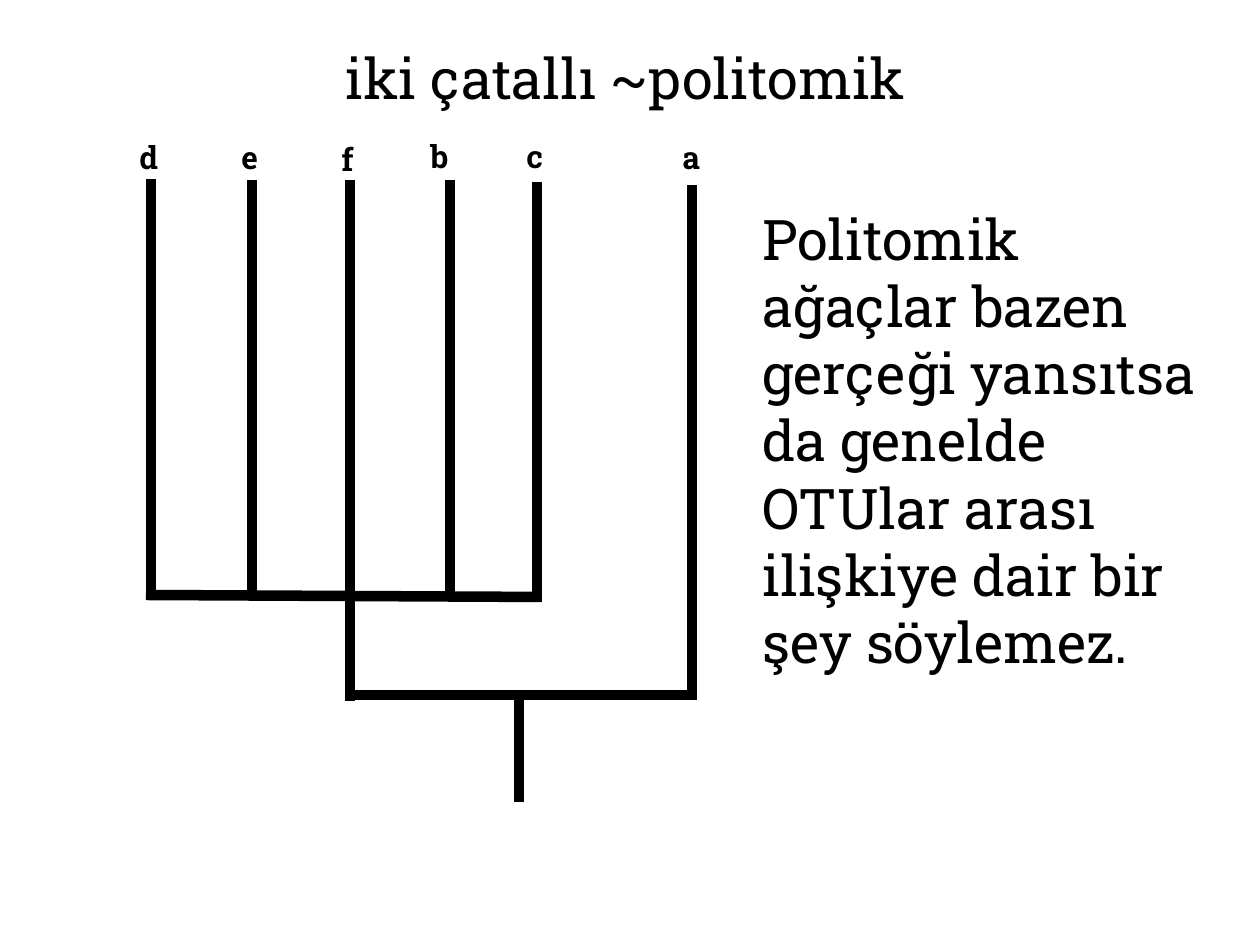
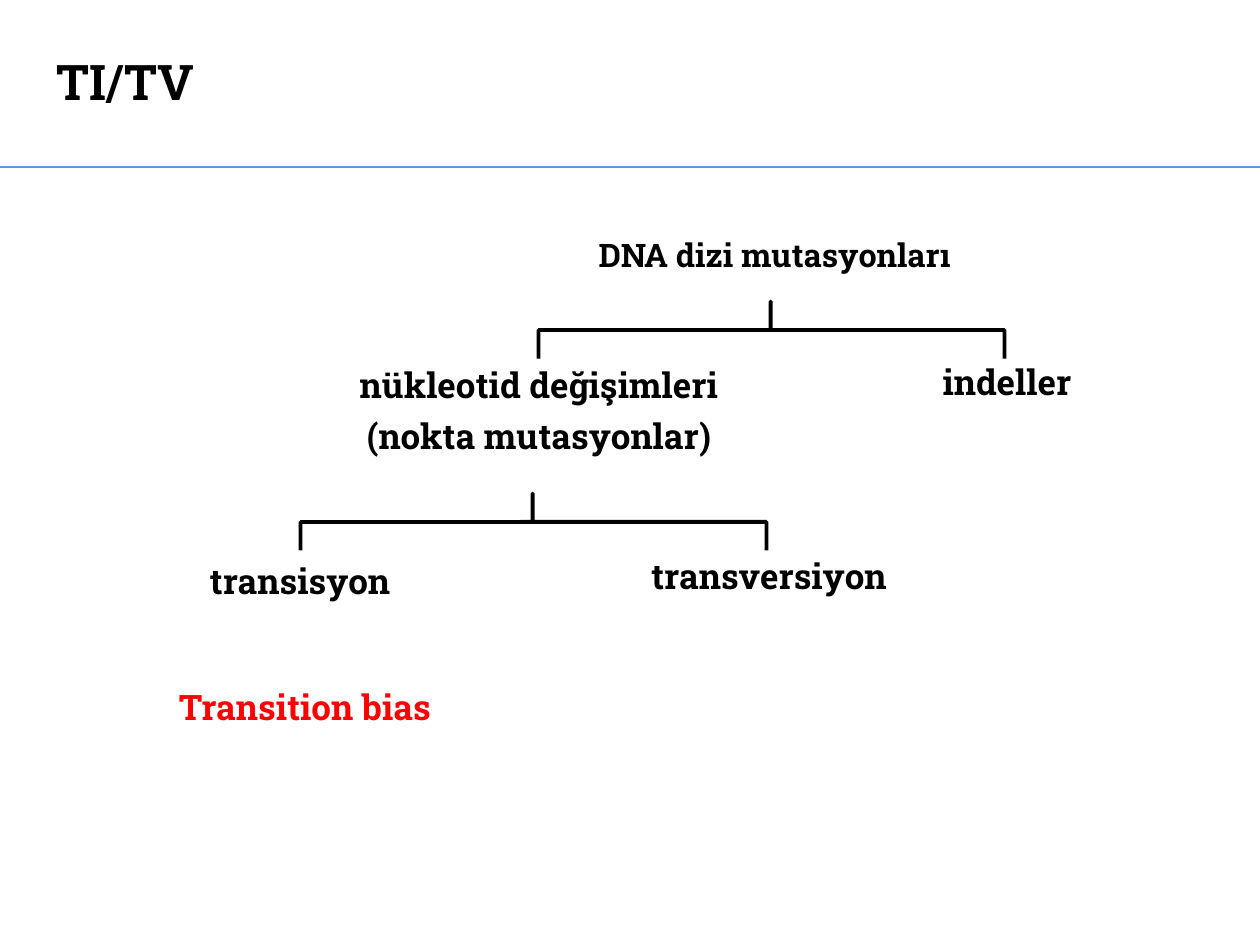
from lxml import etree
from pptx import Presentation
from pptx.dml.color import RGBColor
from pptx.enum.shapes import MSO_CONNECTOR, MSO_SHAPE
from pptx.enum.text import MSO_ANCHOR, MSO_AUTO_SIZE, PP_ALIGN
from pptx.oxml.ns import qn
from pptx.util import Pt

PX = 914400 // 126
FONT = "Roboto Slab"
COLORS = {"ink": "000000", "accent": "FF0000", "rule": "5B9BD5"}
STRAIGHT = MSO_CONNECTOR.STRAIGHT
LEFT_BRACE = MSO_SHAPE.LEFT_BRACE
TOP = MSO_ANCHOR.TOP
GROW, FIXED = MSO_AUTO_SIZE.SHAPE_TO_FIT_TEXT, MSO_AUTO_SIZE.NONE
LEFT, CENTER = PP_ALIGN.LEFT, PP_ALIGN.CENTER


def write(shape, box, lines, size, bold=False, color="ink", align=LEFT, wrap=True, grow=True):
    """Place a text shape and fill it with one paragraph per line."""
    shape.left, shape.top, shape.width, shape.height = [v * PX for v in box]
    frame = shape.text_frame
    frame.word_wrap = wrap
    frame.auto_size = GROW if grow else FIXED
    frame.vertical_anchor = TOP
    for i, line in enumerate(lines):
        paragraph = frame.add_paragraph() if i else frame.paragraphs[0]
        paragraph.alignment = align
        if align == CENTER:
            paragraph.line_spacing = 0.9
        if i:
            paragraph.space_before = Pt(7.5)
        run = paragraph.add_run()
        run.text = line
        run.font.name = FONT
        run.font.size = Pt(size)
        run.font.bold = bold
        run.font.color.rgb = RGBColor.from_string(COLORS[color])


def draw_line(slide, x1, y1, x2, y2, width, color="ink"):
    line = slide.shapes.add_connector(STRAIGHT, x1 * PX, y1 * PX, x2 * PX, y2 * PX)
    line.line.width = Pt(width)
    line.line.color.rgb = RGBColor.from_string(COLORS[color])
    etree.SubElement(line._element.spPr, qn("a:effectLst"))


prs = Presentation()
prs.slide_width, prs.slide_height = 1260 * PX, 945 * PX
title_only = prs.slide_layouts[5]

# Slide 1: polytomous tree
tree = prs.slides.add_slide(title_only)
write(tree.shapes.title, (333, 37, 593, 81), ["iki çatallı ~politomik"], 32, wrap=False)

# Branches with their taxa: name, label left, label top, label width, x, top, bottom
branches = [
    ("d", 127, 132, 45, 151, 179, 597),
    ("e", 229, 132, 44, 252, 180, 598),
    ("f", 329, 134, 38, 350, 180, 598),
    ("b", 418, 131, 45, 450, 180, 598),
    ("c", 514, 131, 44, 537, 182, 600),
    ("a", 670, 132, 44, 692, 185, 698),
]
for taxon, left, top, width, x, tip, base in branches:
    draw_line(tree, x, tip, x, base, 6)
    label = tree.shapes.add_textbox(0, 0, 0, 0)
    write(label, (left, top, width, 50), [taxon], 18, bold=True, wrap=False)

# Nodes and stems
for ends in [(542, 597, 146, 595), (350, 597, 350, 701),
             (697, 695, 345, 695), (519, 698, 519, 802)]:
    draw_line(tree, *ends, 6)

explanation = tree.shapes.add_textbox(0, 0, 0, 0)
write(explanation, (750, 198, 462, 488),
      ["Politomik ağaçlar bazen gerçeği yansıtsa da genelde OTUlar arası "
       "ilişkiye dair bir şey söylemez."], 32)

# Slide 2: kinds of mutation
mutations = prs.slides.add_slide(title_only)
write(mutations.shapes.title, (44, 45, 180, 72), ["TI/TV"], 28, bold=True, wrap=False)
draw_line(mutations, 0, 167, 1260, 167, 1.5, "rule")

# Forks between the levels
for left, top in [(743, 97), (505, 289)]:
    fork = mutations.shapes.add_shape(LEFT_BRACE, left * PX, top * PX, 57 * PX, 466 * PX)
    fork.rotation = 90
    fork.adjustments[0], fork.adjustments[1] = 0, 0.502
    fork.shadow.inherit = False
    fork.fill.background()
    fork.line.width = Pt(2.25)
    fork.line.color.rgb = RGBColor.from_string(COLORS["ink"])

# Terms of the hierarchy
terms = [
    ((561, 233, 427, 57), ["DNA dizi mutasyonları"], 18.5, "ink"),
    ((321, 362, 436, 111), ["nükleotid değişimleri", "(nokta mutasyonlar)"], 20, "ink"),
    ((879, 359, 256, 118), ["indeller"], 20, "ink"),
    ((172, 558, 256, 118), ["transisyon"], 20, "ink"),
    ((606, 553, 326, 118), ["transversiyon"], 20, "ink"),
    ((72, 684, 466, 57), ["Transition bias"], 20, "accent"),
]
for box, lines, size, color in terms:
    term = mutations.shapes.add_textbox(0, 0, 0, 0)
    write(term, box, lines, size, True, color, CENTER, grow=False)

prs.save("out.pptx")
